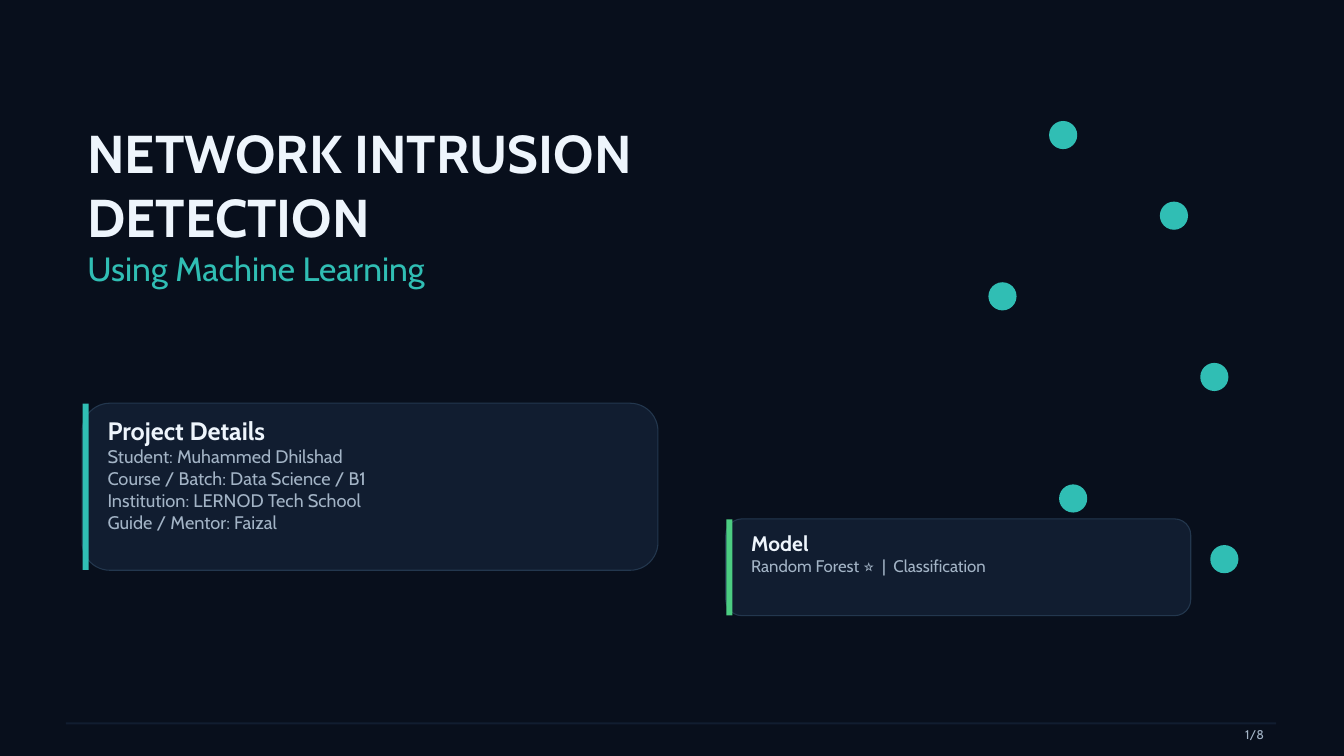
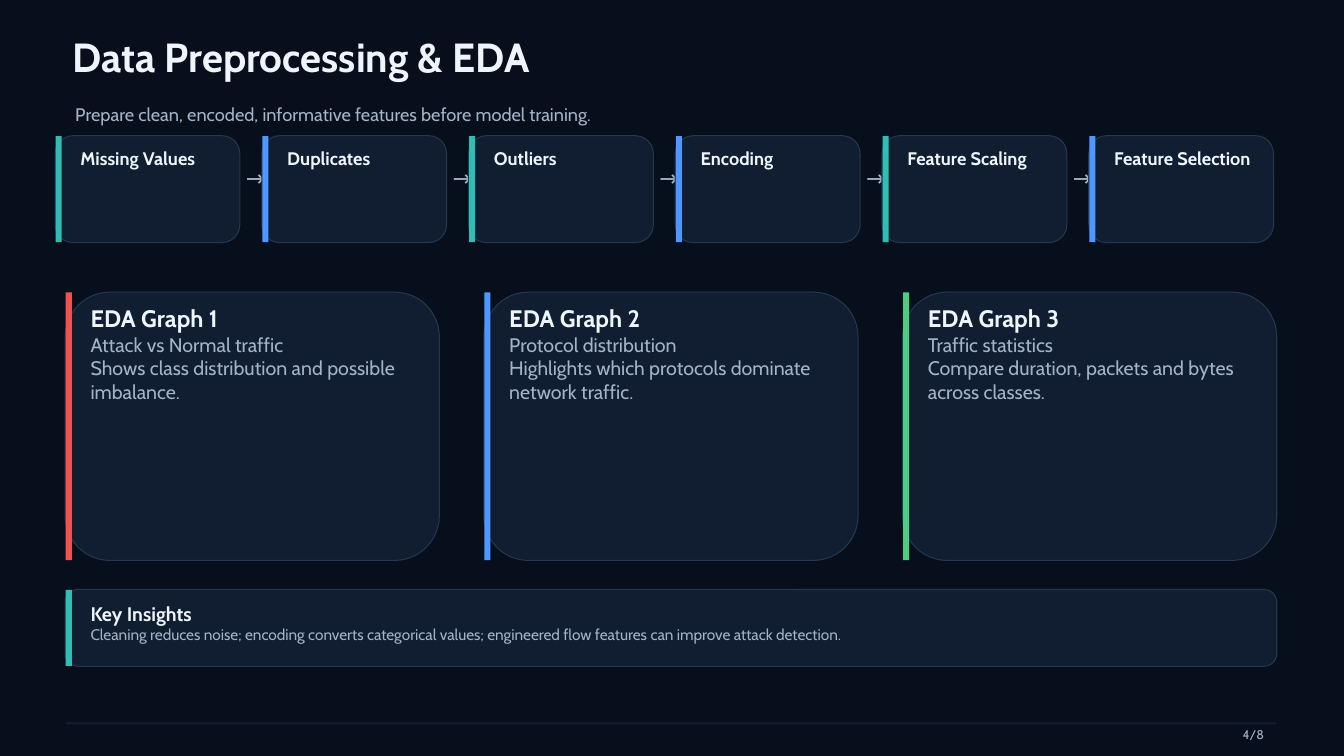
"""Build two dark slides on network intrusion detection."""
from pptx import Presentation
from pptx.dml.color import RGBColor
from pptx.enum.shapes import MSO_SHAPE
from pptx.enum.text import MSO_ANCHOR, MSO_AUTO_SIZE, PP_ALIGN
from pptx.util import Pt

RECT, ROUND, OVAL = MSO_SHAPE.RECTANGLE, MSO_SHAPE.ROUNDED_RECTANGLE, MSO_SHAPE.OVAL
LEFT, RIGHT = PP_ALIGN.LEFT, PP_ALIGN.RIGHT
TOP, FIXED = MSO_ANCHOR.TOP, MSO_AUTO_SIZE.NONE

FONT = "Cabin"
HUES = {
    "back": "080F1C", "card": "111D30", "edge": "23374E",
    "white": "EEF5FC", "grey": "A3B4C6", "teal": "30BEB4",
    "blue": "4D97FF", "green": "4CCD82", "red": "EF5350",
}
PAGES = 8

COVER = ["NETWORK INTRUSION", "DETECTION"]
TAG = "Using Machine Learning"
DOTS = [(1124, 129.6), (1242.7, 216), (1059, 302.4),
        (1286, 388.8), (1134.7, 519), (1296.7, 584)]
DOT = 30.2
FACTS = ("Project Details", [
    "Student: Muhammed Dhilshad",
    "Course / Batch: Data Science / B1",
    "Institution: LERNOD Tech School",
    "Guide / Mentor: Faizal",
])
MODEL = ("Model", ["Random Forest ⭐  |  Classification"])

HEAD = "Data Preprocessing & EDA"
LEAD = "Prepare clean, encoded, informative features before model training."
STEPS = ["Missing Values", "Duplicates", "Outliers",
         "Encoding", "Feature Scaling", "Feature Selection"]
GRAPHS = [
    ("red", "EDA Graph 1", ["Attack vs Normal traffic",
     "Shows class distribution and possible imbalance."]),
    ("blue", "EDA Graph 2", ["Protocol distribution",
     "Highlights which protocols dominate network traffic."]),
    ("green", "EDA Graph 3", ["Traffic statistics",
     "Compare duration, packets and bytes across classes."]),
]
NOTES = ("Key Insights", [
    "Cleaning reduces noise; encoding converts categorical values; "
    "engineered flow features can improve attack detection.",
])


def tint(name):
    return RGBColor.from_string(HUES[name])


def place(shape, box):
    shape.left, shape.top, shape.width, shape.height = map(Pt, box)


def draw(slide, kind, box, fill, edge=None):
    shape = slide.shapes.add_shape(kind, *map(Pt, box))
    shape.shadow.inherit = False
    shape.fill.solid()
    shape.fill.fore_color.rgb = tint(fill)
    if edge:
        shape.line.color.rgb = tint(edge)
        shape.line.width = Pt(1.13)
    else:
        shape.line.fill.background()


def write(shape, lines, align=LEFT):
    frame = shape.text_frame
    frame.word_wrap = True
    frame.auto_size = FIXED
    frame.vertical_anchor = TOP
    frame.margin_left = frame.margin_right = 0
    frame.margin_top = frame.margin_bottom = 0
    for i, (text, size, hue, bold) in enumerate(lines):
        para = frame.add_paragraph() if i else frame.paragraphs[0]
        para.alignment = align
        para.line_spacing = Pt(round(size * 1.2, 1))
        run = para.add_run()
        run.text = text
        font = run.font
        font.name, font.size, font.bold = FONT, Pt(size), bold
        font.color.rgb = tint(hue)


def label(slide, box, text, size, align=LEFT):
    shape = slide.shapes.add_textbox(*map(Pt, box))
    write(shape, [(text, size, "grey", False)], align)


def card(slide, box, hue, head, rows, big, small):
    x, y, w, h = box
    draw(slide, ROUND, box, "card", "edge")
    draw(slide, RECT, (x + 0.6, y + 0.4, 6.5, h - 0.8), hue)
    inner = (x + 27.2, y + 12.8, w - 50, h - 25.6)
    shape = slide.shapes.add_textbox(*map(Pt, inner))
    write(shape, [(head, big, "white", True)]
          + [(row, small, "grey", False) for row in rows])


def title(slide, box, lines):
    shape = slide.shapes.title
    place(shape, box)
    write(shape, lines)


def foot(slide, page):
    draw(slide, RECT, (70.6, 774, 1296.7, 2), "card")
    label(slide, (1282.3, 778.3, 72, 16.6), f"{page}/{PAGES}", 13.5, RIGHT)


def cover(slide):
    for x, y in DOTS:
        draw(slide, OVAL, (x, y, DOT, DOT), "teal")
    title(slide, (93.6, 128.9, 936.7, 218.9),
          [(text, 57, "white", True) for text in COVER]
          + [(TAG, 36, "teal", False)])
    card(slide, (88, 432, 617, 179), "teal", *FACTS, 27, 19.5)
    card(slide, (777.6, 556, 498.2, 103.7), "green", *MODEL, 22.5, 18)
    foot(slide, 1)


def prep(slide):
    title(slide, (77.8, 33.8, 1271.5, 81.4), [(HEAD, 43.5, "white", True)])
    label(slide, (80.6, 110.9, 1250, 39.6), LEAD, 19.5)
    for i, step in enumerate(STEPS):
        x = 59 + 221.5 * i
        hue = "blue" if i % 2 else "teal"
        card(slide, (x, 145.4, 198, 114.5), hue, step, [], 19.5, 0)
        if i < len(STEPS) - 1:
            label(slide, (x + 204.5, 175.7, 13, 28), "→", 24)
    for i, (hue, head, rows) in enumerate(GRAPHS):
        box = (69.8 + 448.6 * i, 313, 401, 287.5)
        card(slide, box, hue, head, rows, 25.5, 21)
    card(slide, (69.8, 631.6, 1298.2, 82.3), "teal", *NOTES, 21, 16.5)
    foot(slide, 4)


def main():
    deck = Presentation()
    deck.slide_width, deck.slide_height = Pt(1440), Pt(810)
    back = deck.slide_master.background.fill
    back.solid()
    back.fore_color.rgb = tint("back")
    for build in (cover, prep):
        build(deck.slides.add_slide(deck.slide_layouts[5]))
    deck.save("out.pptx")


if __name__ == "__main__":
    main()
